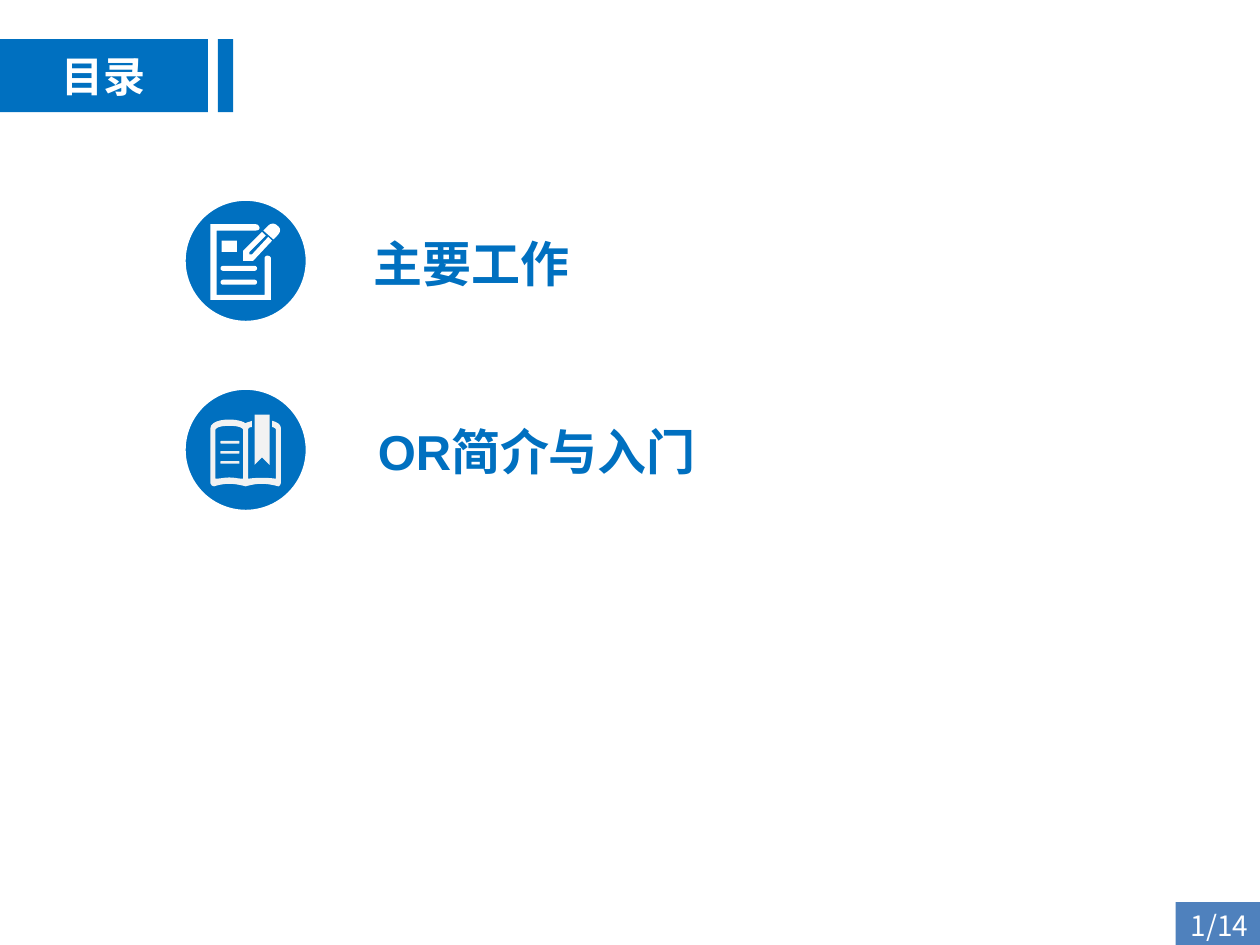
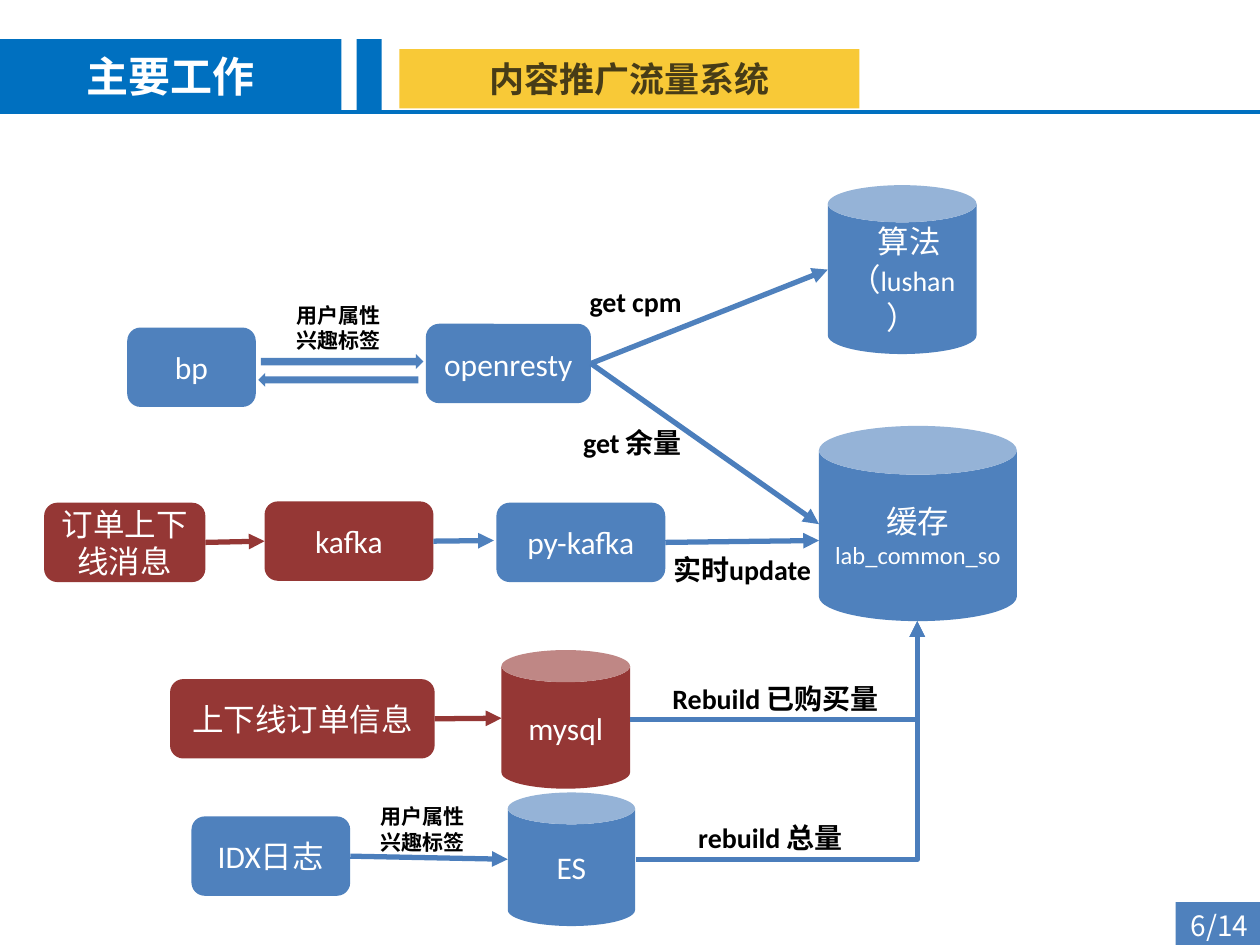
from pptx import Presentation
from pptx import util as u
from pptx.dml.color import RGBColor
from pptx.enum import shapes, text
from pptx.oxml.ns import qn
from lxml import etree

INK = {"blue": "0070C0", "steel": "4F81BD", "edge": "4B7EBC", "red": "953735",
       "gold": "F8C937", "dark": "0D0D0D", "black": "000000",
       "white": "FFFFFF", "pale": "F2F2F2"}
CJK = "Noto Sans CJK SC"
KIND = shapes.MSO_SHAPE
JOIN = shapes.MSO_CONNECTOR


def tint(name):
    return RGBColor.from_string(INK[name])


def inch(*vals):
    return [u.Inches(v) for v in vals]


def write(shape, lines, size=18, font="Calibri", color="white", bold=False,
          anchor=text.MSO_ANCHOR.MIDDLE, alpha=None, side=0.1):
    frame = shape.text_frame
    frame.word_wrap = True
    frame.vertical_anchor = anchor
    frame.margin_left = frame.margin_right = u.Inches(side)
    for i, line in enumerate([lines] if isinstance(lines, str) else lines):
        para = frame.add_paragraph() if i else frame.paragraphs[0]
        para.alignment = text.PP_ALIGN.CENTER
        for part in [line] if isinstance(line, (str, tuple)) else line:
            words, points = (part, size) if isinstance(part, str) else part
            run = para.add_run()
            run.text = words
            run.font.size = u.Pt(points)
            run.font.name = font
            run.font.bold = bold
            run.font.color.rgb = tint(color)
            props = run._r.get_or_add_rPr()
            if alpha:
                tone = props.find(".//" + qn("a:srgbClr"))
                etree.SubElement(tone, qn("a:alpha"), val=str(alpha * 1000))
            latin = props.find(qn("a:latin"))
            latin.addnext(props.makeelement(qn("a:ea"), {"typeface": CJK}))


def paint(shape, fill, edge=None):
    shape.shadow.inherit = False
    shape.fill.solid()
    shape.fill.fore_color.rgb = tint(fill)
    if edge:
        shape.line.color.rgb = tint(edge)
        shape.line.width = u.Pt(2)
    else:
        shape.line.fill.background()
    return shape


def block(slide, box, fill, kind=KIND.RECTANGLE, words=None, edge=None, **style):
    shape = paint(slide.shapes.add_shape(kind, *inch(*box)), fill, edge)
    if words:
        write(shape, words, **style)
    return shape


def label(slide, box, words, **style):
    write(slide.shapes.add_textbox(*inch(*box)), words, **style)


def note(slide, box, words, size=16):
    label(slide, box, words, size=size, color="black", bold=True)


def bend(start, curve, steps=6):
    pts = [start, curve[:2], curve[2:4], curve[4:]]
    for n in range(1, steps + 1):
        t = n / steps
        part = ((1 - t) ** 3, 3 * t * (1 - t) ** 2, 3 * t * t * (1 - t), t ** 3)
        yield tuple(sum(w * p[axis] for w, p in zip(part, pts)) for axis in (0, 1))


def trace(slide, fill, *loops):
    outline = None
    for loop in loops:
        pts = [loop[0]]
        for step in loop[1:]:
            pts.extend([step] if len(step) == 2 else list(bend(pts[-1], step)))
        pts = [inch(*p) for p in pts]
        if outline is None:
            outline = slide.shapes.build_freeform(*pts[0], scale=1.0)
        else:
            outline.move_to(*pts[0])
        outline.add_line_segments(pts[1:], close=True)
    paint(outline.convert_to_shape(), fill)


def link(slide, start, end, color="edge", width=3, bent=False, head=True):
    points = [p if isinstance(p, tuple) else (0, 0) for p in (start, end)]
    line = slide.shapes.add_connector(
        JOIN.ELBOW if bent else JOIN.STRAIGHT, *inch(*points[0], *points[1]))
    if not isinstance(start, tuple):
        line.begin_connect(start, 3)
    if not isinstance(end, tuple):
        line.end_connect(end, 1)
    line.line.color.rgb = tint(color)
    line.line.width = u.Pt(width)
    props = line._element.spPr
    if bent:
        props.find(qn("a:prstGeom")).set("prst", "bentConnector2")
    if head:
        etree.SubElement(props.find(qn("a:ln")), qn("a:tailEnd"), type="triangle")
    etree.SubElement(props, qn("a:effectLst"))


def frame(deck, title, wide, bar, page):
    slide = deck.slides.add_slide(deck.slide_layouts[6])
    left, thick = bar
    block(slide, (0, 0.31, wide, 0.58), "blue", words=title,
          size=24, font="Arial", bold=True)
    block(slide, (left, 0.31, thick, 0.58), "blue")
    block(slide, (9.33, 7.16, 0.7, 0.37), "steel", words=f"{page}/14", size=16,
          font=CJK, anchor=text.MSO_ANCHOR.TOP, side=0)
    return slide


def disc(slide, top):
    block(slide, (1.46, top, 0.98, 0.98), "blue", KIND.OVAL, edge="white")


def sheet(slide):
    disc(slide, 1.58)
    for top in (2.11, 2.22):
        bar = block(slide, (1.75, top, 0.29, 0.04), "white", KIND.ROUNDED_RECTANGLE)
        bar.adjustments[0] = 0.5
    trace(slide, "white", [
        (2.15, 2.38), (1.67, 2.38), (1.67, 1.78), (2.03, 1.78),
        (2.05, 1.78, 2.06, 1.8, 2.06, 1.81), (2.06, 1.82, 2.05, 1.83, 2.03, 1.83),
        (1.72, 1.83), (1.72, 2.34), (2.1, 2.34), (2.1, 2.05),
        (2.1, 2.04, 2.11, 2.03, 2.12, 2.03), (2.14, 2.03, 2.15, 2.04, 2.15, 2.05)])
    block(slide, (1.76, 1.91, 0.12, 0.09), "white")
    trace(slide, "white", [
        (2.09, 1.83), (2.13, 1.79), (2.15, 1.77, 2.18, 1.77, 2.2, 1.79),
        (2.23, 1.81, 2.23, 1.84, 2.2, 1.87), (2.17, 1.9)])
    trace(slide, "white", [
        (2.08, 1.84), (1.93, 1.99), (1.93, 2.07), (2.01, 2.07), (2.16, 1.91),
        (2.13, 1.88), (2, 2.02), (1.98, 2.02), (1.98, 2), (2.11, 1.87)])


def book(slide):
    disc(slide, 3.08)
    trace(slide, "pale", [(2.02, 3.29), (2.14, 3.29), (2.14, 3.69),
                          (2.08, 3.63), (2.02, 3.69)])
    for row in range(3):
        block(slide, (1.75, 3.5 + 0.08 * row, 0.15, 0.02), "pale",
              KIND.ROUNDED_RECTANGLE)
    trace(slide, "pale", [
        (2.16, 3.34), (2.16, 3.39), (2.17, 3.39, 2.19, 3.4, 2.19, 3.41),
        (2.19, 3.8), (2.12, 3.79, 2.04, 3.79, 1.97, 3.8), (1.97, 3.41),
        (1.97, 3.4, 1.98, 3.39, 2, 3.39), (2, 3.34),
        (1.98, 3.35, 1.96, 3.35, 1.95, 3.36), (1.92, 3.34, 1.87, 3.33, 1.82, 3.33),
        (1.75, 3.33, 1.67, 3.35, 1.67, 3.4), (1.67, 3.83),
        (1.67, 3.84, 1.68, 3.86, 1.7, 3.86), (1.73, 3.85, 1.78, 3.84, 1.82, 3.84),
        (1.86, 3.84, 1.91, 3.85, 1.95, 3.86), (1.99, 3.85, 2.03, 3.84, 2.08, 3.84),
        (2.12, 3.84, 2.17, 3.85, 2.21, 3.86), (2.22, 3.86, 2.23, 3.84, 2.23, 3.83),
        (2.23, 3.4), (2.23, 3.37, 2.2, 3.35, 2.16, 3.34)],
        [(1.93, 3.8), (1.89, 3.8, 1.86, 3.79, 1.82, 3.79),
         (1.78, 3.79, 1.75, 3.8, 1.71, 3.8), (1.71, 3.41),
         (1.72, 3.39, 1.76, 3.38, 1.82, 3.38), (1.88, 3.38, 1.92, 3.39, 1.93, 3.41)])


def agenda(deck):
    slide = frame(deck, "目录", 1.65, (1.73, 0.12), 1)
    sheet(slide)
    book(slide)
    for box, words in (((1.93, 1.66, 3.62, 0.85), "主要工作"),
                       ((2.42, 3.15, 3.68, 0.85), "OR简介与入门")):
        label(slide, box, words, size=28, font="Arial", color="blue", bold=True)


def node(slide, left, top, wide, words, fill="steel"):
    return block(slide, (left, top, wide, 0.63), fill,
                 KIND.ROUNDED_RECTANGLE, words)


def store(slide, box, words, fill="steel"):
    return block(slide, box, fill, KIND.CAN, words)


def flow(deck):
    slide = frame(deck, "主要工作", 2.71, (2.83, 0.2), 6)
    link(slide, (0, 0.89), (10, 0.89), "blue", 2, head=False)
    block(slide, (3.17, 0.39, 3.65, 0.47), "gold", words="内容推广流量系统",
          size=20, font=CJK, color="dark", bold=True, alpha=75)

    node(slide, 1.01, 2.6, 1.02, "bp")
    resty = node(slide, 3.38, 2.57, 1.31, "openresty")
    block(slide, (2.07, 2.81, 1.29, 0.12), "steel", KIND.RIGHT_ARROW)
    block(slide, (2.05, 2.96, 1.27, 0.11), "steel", KIND.LEFT_ARROW)
    algo = store(slide, (6.57, 1.47, 1.18, 1.34),
                 ["算法", ["（", ("lushan", 16), "）"]])
    algo.text_frame.paragraphs[0]._p.get_or_add_pPr().set("marL", str(u.Inches(0.11)))
    store(slide, (6.5, 3.38, 1.57, 1.55), ["缓存", ("lab_common_so", 14)])
    link(slide, resty, (6.57, 2.14), "steel")
    link(slide, resty, (6.5, 4.16))

    order = node(slide, 0.35, 3.99, 1.28, "订单上下线消息", "red")
    queue = node(slide, 2.1, 3.98, 1.34, "kafka", "red")
    feed = node(slide, 3.94, 3.99, 1.34, "py-kafka")
    link(slide, order, queue, "red")
    link(slide, queue, (3.92, 4.29), "steel")
    link(slide, feed, (6.5, 4.29))

    info = node(slide, 1.35, 5.39, 2.1, "上下线订单信息", "red")
    store(slide, (3.98, 5.16, 1.02, 1.1), "mysql", "red")
    link(slide, info, (3.98, 5.7), "red")
    logs = node(slide, 1.52, 6.48, 1.26, "IDX日志")
    store(slide, (4.03, 6.29, 1.01, 1.06), "ES")
    link(slide, logs, (4.03, 6.82))
    for start in ((5, 5.71), (5.05, 6.82)):
        link(slide, start, (7.28, 4.93), bent=True)

    for left, top in ((2.1, 2.36), (2.77, 6.34)):
        note(slide, (left, top, 1.17, 0.48), ["用户属性", "兴趣标签"], 12)
    for box, words in (((4.46, 2.15, 1.17, 0.48), "get cpm"),
                       ((4.46, 3.27, 1.17, 0.48), "get 余量 "),
                       ((5.23, 4.29, 1.32, 0.45), "实时update "),
                       ((5.23, 5.32, 1.9, 0.45), "Rebuild 已购买量 "),
                       ((5.23, 6.42, 1.82, 0.45), "rebuild 总量 ")):
        note(slide, box, words)


def main():
    deck = Presentation()
    deck.slide_width, deck.slide_height = inch(10, 7.5)
    agenda(deck)
    flow(deck)
    deck.save("out.pptx")


if __name__ == "__main__":
    main()
